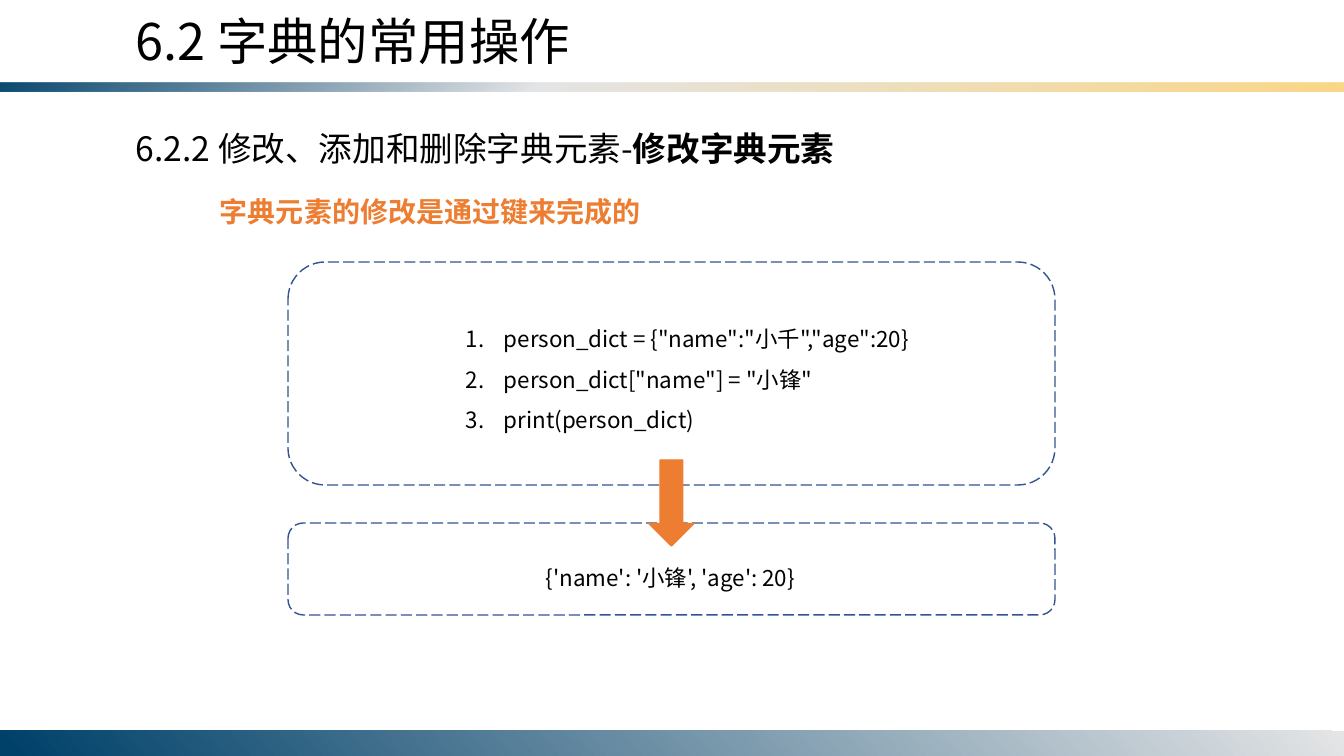
from lxml.etree import SubElement
from pptx import Presentation
from pptx.dml.color import RGBColor
from pptx.enum.dml import MSO_LINE
from pptx.enum.shapes import MSO_SHAPE
from pptx.enum.text import MSO_AUTO_SIZE
from pptx.oxml import parse_xml
from pptx.oxml.ns import nsdecls, qn
from pptx.util import Emu, Pt

WIDTH, HEIGHT = 1344, 756
EMU_PER_PX = 12192000 / WIDTH
FONT = "Noto Sans CJK SC"

BLACK = RGBColor(0x00, 0x00, 0x00)
ORANGE = RGBColor(0xED, 0x7D, 0x31)
BLUE = RGBColor(0x32, 0x54, 0x91)
NAVY = RGBColor(0x00, 0x41, 0x6A)
SILVER = RGBColor(0xE4, 0xE5, 0xE6)
GOLD = RGBColor(0xFB, 0xD7, 0x86)

PANEL_LEFT, PANEL_WIDTH = 288, 767


def px(length):
    return Emu(round(length * EMU_PER_PX))


def add_preset(slide, kind, *box):
    shape = slide.shapes.add_shape(kind, *map(px, box))
    shape.shadow.inherit = False
    return shape


def add_gradient_bar(slide, top, height, stops, angle):
    """Full-width bar; each stop is (percent, colour, opacity percent)."""
    bar = add_preset(slide, MSO_SHAPE.RECTANGLE, 0, top, WIDTH, height)
    bar.line.fill.background()
    stop_list = "".join(
        f'<a:gs pos="{position * 1000}"><a:srgbClr val="{colour}">'
        f'<a:alpha val="{opacity * 1000}"/></a:srgbClr></a:gs>'
        for position, colour, opacity in stops)
    gradient = parse_xml(
        f'<a:gradFill {nsdecls("a")} rotWithShape="1"><a:gsLst>{stop_list}</a:gsLst>'
        f'<a:lin ang="{angle * 60000}" scaled="0"/></a:gradFill>')
    bar._element.spPr.find(qn("a:prstGeom")).addnext(gradient)


def add_dashed_panel(slide, top, height):
    panel = add_preset(slide, MSO_SHAPE.ROUNDED_RECTANGLE,
                       PANEL_LEFT, top, PANEL_WIDTH, height)
    panel.fill.background()
    panel.line.color.rgb = BLUE
    panel.line.width = Pt(1)
    panel.line.dash_style = MSO_LINE.LONG_DASH


def add_down_arrow(slide, *box):
    arrow = add_preset(slide, MSO_SHAPE.DOWN_ARROW, *box)
    arrow.fill.solid()
    arrow.fill.fore_color.rgb = ORANGE
    arrow.line.color.rgb = ORANGE
    arrow.line.width = Pt(1)


def number_paragraph(paragraph, indent):
    properties = paragraph._p.get_or_add_pPr()
    properties.set("marL", str(px(indent)))
    properties.set("indent", str(-px(indent)))
    SubElement(properties, qn("a:buFont"), typeface="+mj-lt")
    SubElement(properties, qn("a:buAutoNum"), type="arabicPeriod")


def add_text(slide, box, lines, size, colour=BLACK, bold=None,
             spacing=None, numbered=False):
    """Each line is a list of (text, bold) runs or a plain string."""
    frame = slide.shapes.add_textbox(*map(px, box)).text_frame
    frame.word_wrap = True
    frame.auto_size = MSO_AUTO_SIZE.SHAPE_TO_FIT_TEXT
    for index, line in enumerate(lines):
        paragraph = frame.paragraphs[0] if index == 0 else frame.add_paragraph()
        if spacing:
            paragraph.line_spacing = spacing
        if numbered:
            number_paragraph(paragraph, 38)
        font = paragraph.font
        font.name, font.size, font.bold = FONT, Pt(size), bold
        font.color.rgb = colour
        SubElement(font._element, qn("a:ea"), typeface=FONT)
        for text, run_bold in [(line, None)] if isinstance(line, str) else line:
            run = paragraph.add_run()
            run.text = text
            if run_bold:
                run.font.bold = True


def main():
    deck = Presentation()
    deck.slide_width, deck.slide_height = px(WIDTH), px(HEIGHT)
    slide = deck.slides.add_slide(deck.slide_layouts[6])

    # Header rule and footer band
    add_gradient_bar(slide, 83, 9,
                     [(0, NAVY, 95), (40, SILVER, 100), (100, GOLD, 100)], 50)
    add_gradient_bar(slide, 731, 25, [(0, SILVER, 100), (99, NAVY, 100)], 140)

    # Headings
    add_text(slide, (126, 5, 617, 72), ["6.2 字典的常用操作"], 36)
    add_text(slide, (126, 123, 805, 50),
             [[("6.2.2 修改、添加和删除字典元素-", False), ("修改字典元素", True)]], 24)
    add_text(slide, (210, 173, 776, 60), ["字典元素的修改是通过键来完成的"], 20,
             colour=ORANGE, bold=True, spacing=1.5)

    # Code example
    add_text(slide, (456, 307, 499, 132),
             ['person_dict = {"name":"小千","age":20}',
              'person_dict["name"] = "小锋"',
              'print(person_dict)'], 16, spacing=1.5, numbered=True)
    add_dashed_panel(slide, 262, 223)

    # Printed result
    add_text(slide, (536, 546, 339, 50), ["{'name': '小锋', 'age': 20}"], 16,
             spacing=1.5)
    add_dashed_panel(slide, 523, 92)
    add_down_arrow(slide, 649, 460, 45, 86)

    deck.save("out.pptx")


if __name__ == "__main__":
    main()
